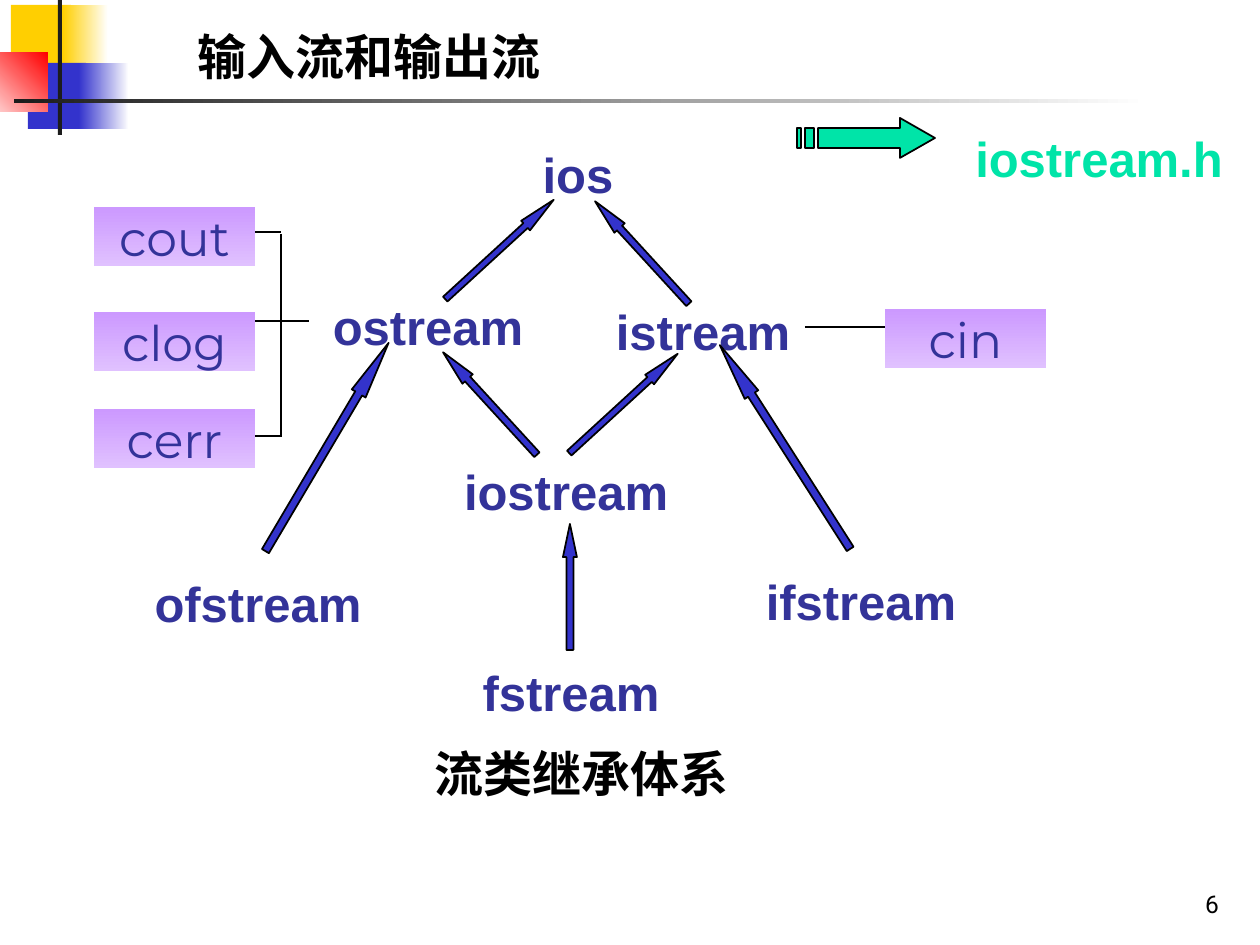
from lxml import etree
from pptx import Presentation
from pptx.dml.color import RGBColor
from pptx.enum.shapes import MSO_CONNECTOR, MSO_SHAPE
from pptx.enum.text import MSO_ANCHOR, MSO_AUTO_SIZE, PP_ALIGN
from pptx.oxml.ns import qn
from pptx.util import Pt

PX = 914400 / 126
RECTANGLE, UP_ARROW = MSO_SHAPE.RECTANGLE, MSO_SHAPE.UP_ARROW
STRAIGHT = MSO_CONNECTOR.STRAIGHT
TOP, MIDDLE, BOTTOM = MSO_ANCHOR.TOP, MSO_ANCHOR.MIDDLE, MSO_ANCHOR.BOTTOM
LEFT, CENTER, RIGHT = PP_ALIGN.LEFT, PP_ALIGN.CENTER, PP_ALIGN.RIGHT
NO_AUTOFIT = MSO_AUTO_SIZE.NONE

BLACK = RGBColor(0x00, 0x00, 0x00)
WHITE = RGBColor(0xFF, 0xFF, 0xFF)
CHARCOAL = RGBColor(0x1C, 0x1C, 0x1C)
YELLOW = RGBColor(0xFF, 0xCF, 0x01)
BLUE = RGBColor(0x33, 0x33, 0xCC)
RED = RGBColor(0xFF, 0x00, 0x00)
GREEN = RGBColor(0x00, 0xE4, 0xA8)
INDIGO = RGBColor(0x33, 0x33, 0x99)
VIOLET = RGBColor(0xCC, 0x99, 0xFF)
LILAC = RGBColor(0xE0, 0xC1, 0xFF)

OBJECT_SIZE = (161, 59)
LABEL_HEIGHT = 59


def px(*lengths):
    return [round(length * PX) for length in lengths]


def write(shape, text, font, size, color, bold=False, align=CENTER,
          anchor=TOP, margins=(0, 0)):
    frame = shape.text_frame
    frame.word_wrap = True
    frame.auto_size = NO_AUTOFIT
    frame.vertical_anchor = anchor
    side, edge = px(*margins)
    frame.margin_left = frame.margin_right = side
    frame.margin_top = frame.margin_bottom = edge
    frame.text = text
    paragraph = frame.paragraphs[0]
    paragraph.alignment = align
    paragraph.space_before = Pt(0)
    run_font = paragraph.runs[0].font
    run_font.name, run_font.size, run_font.bold = font, Pt(size), bold
    run_font.color.rgb = color


def add_label(slide, text, left, top, width, color=INDIGO, font="Arial"):
    label = slide.shapes.add_textbox(*px(left, top, width, LABEL_HEIGHT))
    write(label, text, font, 28, color, bold=True)


def add_block(slide, box, colors, angle=0):
    block = slide.shapes.add_shape(RECTANGLE, *px(*box))
    block.shadow.inherit = False
    block.line.fill.background()
    if len(colors) == 1:
        block.fill.solid()
        block.fill.fore_color.rgb = colors[0]
    else:
        block.fill.gradient()
        block.fill.gradient_angle = angle
        for stop, color in zip(block.fill.gradient_stops, colors):
            stop.color.rgb = color
    return block


def add_stream_object(slide, text, left, top):
    block = add_block(slide, (left, top, *OBJECT_SIZE), (VIOLET, LILAC), 270)
    write(block, text, "Montserrat", 28, INDIGO)


def outline(shape, color):
    shape.shadow.inherit = False
    shape.fill.solid()
    shape.fill.fore_color.rgb = color
    shape.line.color.rgb = BLACK
    shape.line.width = Pt(1)


def add_inheritance_arrow(slide, box, rotation, head):
    arrow = slide.shapes.add_shape(UP_ARROW, *px(*box))
    arrow.rotation = rotation
    arrow.adjustments[0] = 0.5
    arrow.adjustments[1] = head
    outline(arrow, BLUE)


def add_link(slide, *ends):
    link = slide.shapes.add_connector(STRAIGHT, *px(*ends))
    link.line.color.rgb = BLACK
    link.line.width = Pt(1)
    etree.SubElement(link._element.spPr, qn("a:effectLst"))


def add_striped_arrow(slide):
    builder = slide.shapes.build_freeform(900, 118, scale=PX)
    builder.add_line_segments(
        [(900, 128), (818, 128), (818, 148), (900, 148), (900, 158), (935, 138)])
    for left, right in ((805, 814), (797, 801)):
        builder.move_to(left, 128)
        builder.add_line_segments([(left, 148), (right, 148), (right, 128)])
    outline(builder.convert_to_shape(), GREEN)


def add_backdrop(slide):
    for box, colors, angle in (
        ((11, 5, 60, 66), (YELLOW,), 0),
        ((63, 5, 45, 66), (YELLOW, WHITE), 0),
        ((28, 63, 58, 66), (BLUE,), 0),
        ((79, 63, 50, 66), (BLUE, WHITE), 0),
        ((-29, 53, 77, 59), (WHITE, RED), 45),
        ((58, -10, 4, 145), (CHARCOAL,), 0),
        ((14, 99, 1134, 4), (CHARCOAL, WHITE), 0),
    ):
        add_block(slide, box, colors, angle)


def set_title(slide, text):
    title = slide.shapes.title
    title.left, title.top, title.width, title.height = px(185, 21, 1075, 147)
    write(title, text, "Times New Roman", 28, BLACK, bold=True, align=LEFT,
          margins=(13, 6))


def add_page_number(slide, number):
    box = slide.shapes.add_textbox(*px(970, 861, 262, 63))
    write(box, number, "Roboto", 14, BLACK, align=RIGHT, anchor=BOTTOM,
          margins=(13, 6))


def main():
    deck = Presentation()
    deck.slide_width, deck.slide_height = px(1260, 945)
    slide = deck.slides.add_slide(deck.slide_layouts[5])
    add_backdrop(slide)
    set_title(slide, "输入流和输出流")
    add_page_number(slide, "6")

    add_label(slide, "iostream.h", 961, 129, 276, GREEN)
    add_striped_arrow(slide)
    add_label(slide, "流类继承体系", 409, 743, 345, BLACK, "Montserrat")

    for stream_class, left, top, width in (
        ("ios", 514, 144, 128),
        ("ostream", 314, 296, 228),
        ("istream", 582, 301, 242),
        ("iostream", 432, 461, 268),
        ("ofstream", 144, 573, 228),
        ("ifstream", 747, 571, 228),
        ("fstream", 457, 663, 228),
    ):
        add_label(slide, stream_class, left, top, width)

    for box, rotation, head in (
        ((493, 176, 13, 147), 47.5, 2.93),
        ((635, 183, 14, 139), 317.5, 2.6),
        ((483, 334, 14, 139), 317.5, 2.6),
        ((617, 330, 13, 147), 47.5, 2.93),
        ((563, 524, 14, 126), 0, 2.37),
        ((319, 326, 16, 242), 30.6, 3.67),
        ((777, 326, 16, 242), 327.4, 3.67),
    ):
        add_inheritance_arrow(slide, box, rotation, head)

    for stream_object, left, top in (
        ("cout", 94, 207), ("clog", 94, 312), ("cerr", 94, 409), ("cin", 885, 309),
    ):
        add_stream_object(slide, stream_object, left, top)

    for ends in (
        (281, 232, 255, 232),
        (309, 321, 255, 321),
        (281, 436, 255, 436),
        (281, 234, 281, 437),
        (805, 327, 885, 327),
    ):
        add_link(slide, *ends)

    deck.save("out.pptx")


if __name__ == "__main__":
    main()
